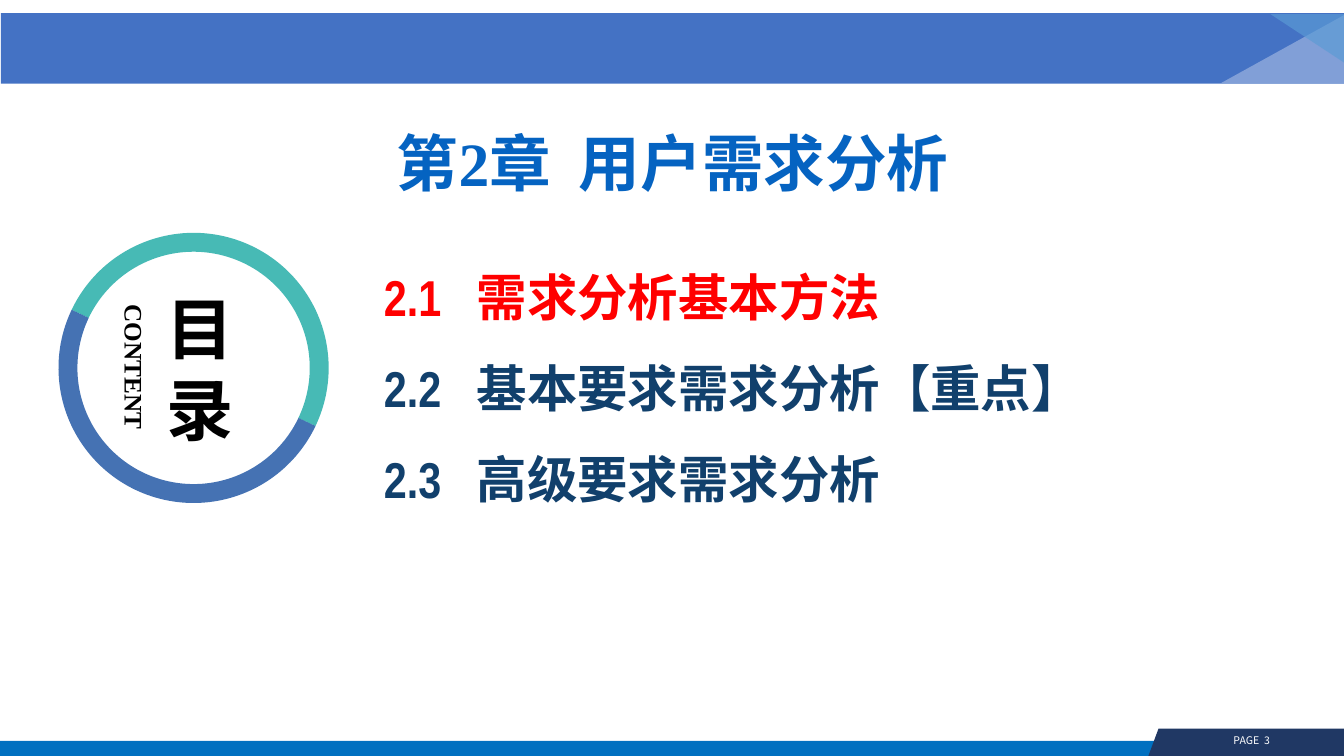
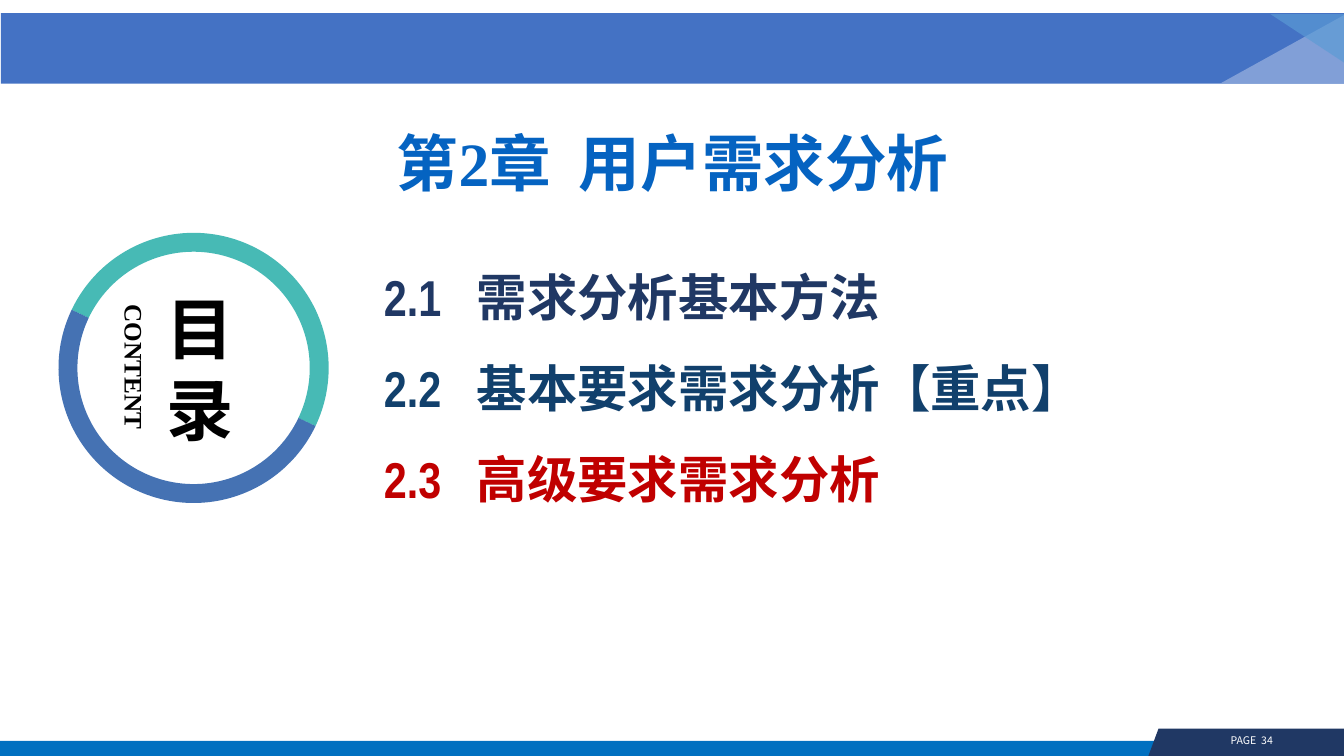
from lxml.etree import SubElement
from pptx import Presentation
from pptx.dml.color import RGBColor
from pptx.enum.shapes import MSO_SHAPE
from pptx.enum.text import MSO_ANCHOR, PP_ALIGN
from pptx.oxml.ns import qn
from pptx.util import Inches, Pt

WHITE = RGBColor(0xFF, 0xFF, 0xFF)
BLACK = RGBColor(0x00, 0x00, 0x00)
BAND_BLUE = RGBColor(0x44, 0x72, 0xC4)
FOOTER_BLUE = RGBColor(0x00, 0x70, 0xC0)
NAVY = RGBColor(0x20, 0x38, 0x64)
LIGHT_BLUE = RGBColor(0x8F, 0xAA, 0xDC)
SKY_BLUE = RGBColor(0x5B, 0x9B, 0xD5)
RING_TEAL = RGBColor(0x0A, 0xA3, 0x9D)
RING_BLUE = RGBColor(0x00, 0x3F, 0x98)
TITLE_BLUE = RGBColor(0x05, 0x63, 0xC1)
ITEM_BLUE = RGBColor(0x11, 0x40, 0x6C)
RED = RGBColor(0xFF, 0x00, 0x00)
DARK_RED = RGBColor(0xC0, 0x00, 0x00)

SERIF = "Times New Roman"
NARROW = "Arial Narrow"
CHINESE = "Noto Sans CJK SC"

SECTIONS = [
    ("2.1", "需求分析基本方法"),
    ("2.2", "基本要求需求分析【重点】"),
    ("2.3", "高级要求需求分析"),
]
# Page number and the colour of each section line
PAGES = [
    (3, [RED, ITEM_BLUE, ITEM_BLUE]),
    (34, [NAVY, ITEM_BLUE, DARK_RED]),
]
TAB_OUTLINE = [(11.49, 7.23), (13.33, 7.23), (13.33, 7.5), (11.39, 7.5)]
# Shape, place, adjustments, rotation, colour, opacity in percent
RING = (0.58, 2.31, 2.68, 2.68)
DECORATIONS = [
    (MSO_SHAPE.RECTANGLE, (0, 7.35, 13.33, 0.15), [], 0, FOOTER_BLUE, 100),
    (MSO_SHAPE.RECTANGLE, (0.01, 0.13, 13.32, 0.7), [], 0, BAND_BLUE, 100),
    (MSO_SHAPE.ISOSCELES_TRIANGLE, (12.1, 0.15, 1.23, 0.68), [1], 0, LIGHT_BLUE, 82),
    (MSO_SHAPE.ISOSCELES_TRIANGLE, (12.6, 0.14, 0.73, 0.48), [0], 180, SKY_BLUE, 67),
    (MSO_SHAPE.BLOCK_ARC, RING, [108, 0, 0.07], 25.5, RING_TEAL, 75),
    (MSO_SHAPE.BLOCK_ARC, RING, [108, 0, 0.07], 205.5, RING_BLUE, 73),
]


def paint(shape, color, opacity=100):
    """Give a shape a flat fill without line or shadow."""
    shape.shadow.inherit = False
    shape.line.fill.background()
    shape.fill.solid()
    shape.fill.fore_color.rgb = color
    if opacity < 100:
        color_element = shape.fill._xPr.find(qn("a:solidFill"))[0]
        SubElement(color_element, qn("a:alpha"), val=str(opacity * 1000))


def add_text(slide, place, lines, size, font, colors, bold=True, align=PP_ALIGN.CENTER):
    """Add a text box with one paragraph and one colour per line."""
    box = slide.shapes.add_textbox(*map(Inches, place))
    frame = box.text_frame
    frame.word_wrap = True
    frame.text = "\n".join(lines)
    for paragraph, color in zip(frame.paragraphs, colors):
        paragraph.alignment = align
        for run in paragraph.runs:
            run.font.size = Pt(size)
            run.font.bold = bold
            run.font.name = font
            run.font.color.rgb = color
            SubElement(run.font._element, qn("a:ea"), typeface=CHINESE)
    return box


presentation = Presentation()
presentation.slide_width = Inches(13.33)
presentation.slide_height = Inches(7.5)

for page_number, section_colors in PAGES:
    slide = presentation.slides.add_slide(presentation.slide_layouts[6])

    for kind, place, adjustments, rotation, color, opacity in DECORATIONS:
        shape = slide.shapes.add_shape(kind, *map(Inches, place))
        for index, value in enumerate(adjustments):
            shape.adjustments[index] = value
        shape.rotation = rotation
        paint(shape, color, opacity)

    corners = [(Inches(x), Inches(y)) for x, y in TAB_OUTLINE]
    builder = slide.shapes.build_freeform(*corners[0])
    builder.add_line_segments(corners[1:], close=True)
    paint(builder.convert_to_shape(), NAVY)
    page_box = add_text(slide, (12.08, 7.23, 0.67, 0.23), [f"PAGE  {page_number}"],
                        7.5, CHINESE, [WHITE], bold=False)
    page_box.text_frame.word_wrap = False

    contents = add_text(slide, (1.48, 2.87, 1.01, 1.57), ["目录"], 48, SERIF, [BLACK])
    contents.text_frame.vertical_anchor = MSO_ANCHOR.MIDDLE
    caption = add_text(slide, (0.63, 3.57, 1.55, 0.26), ["CONTENT"], 18, SERIF, [BLACK],
                       align=PP_ALIGN.LEFT)
    caption.rotation = 90

    section_lines = [f"{number}\t{name}" for number, name in SECTIONS]
    sections = add_text(slide, (3.71, 2.28, 8.11, 2.83), section_lines, 36, NARROW,
                        section_colors, align=PP_ALIGN.LEFT)
    sections.text_frame.vertical_anchor = MSO_ANCHOR.MIDDLE
    for paragraph in sections.text_frame.paragraphs:
        paragraph.line_spacing = 1.5
        tab_list = SubElement(paragraph._p.get_or_add_pPr(), qn("a:tabLst"))
        SubElement(tab_list, qn("a:tab"), pos=str(Inches(0.92)), algn="l")

    add_text(slide, (0.01, 1.19, 13.33, 0.85), ["第2章  用户需求分析"], 44, SERIF, [TITLE_BLUE])

presentation.save("out.pptx")
